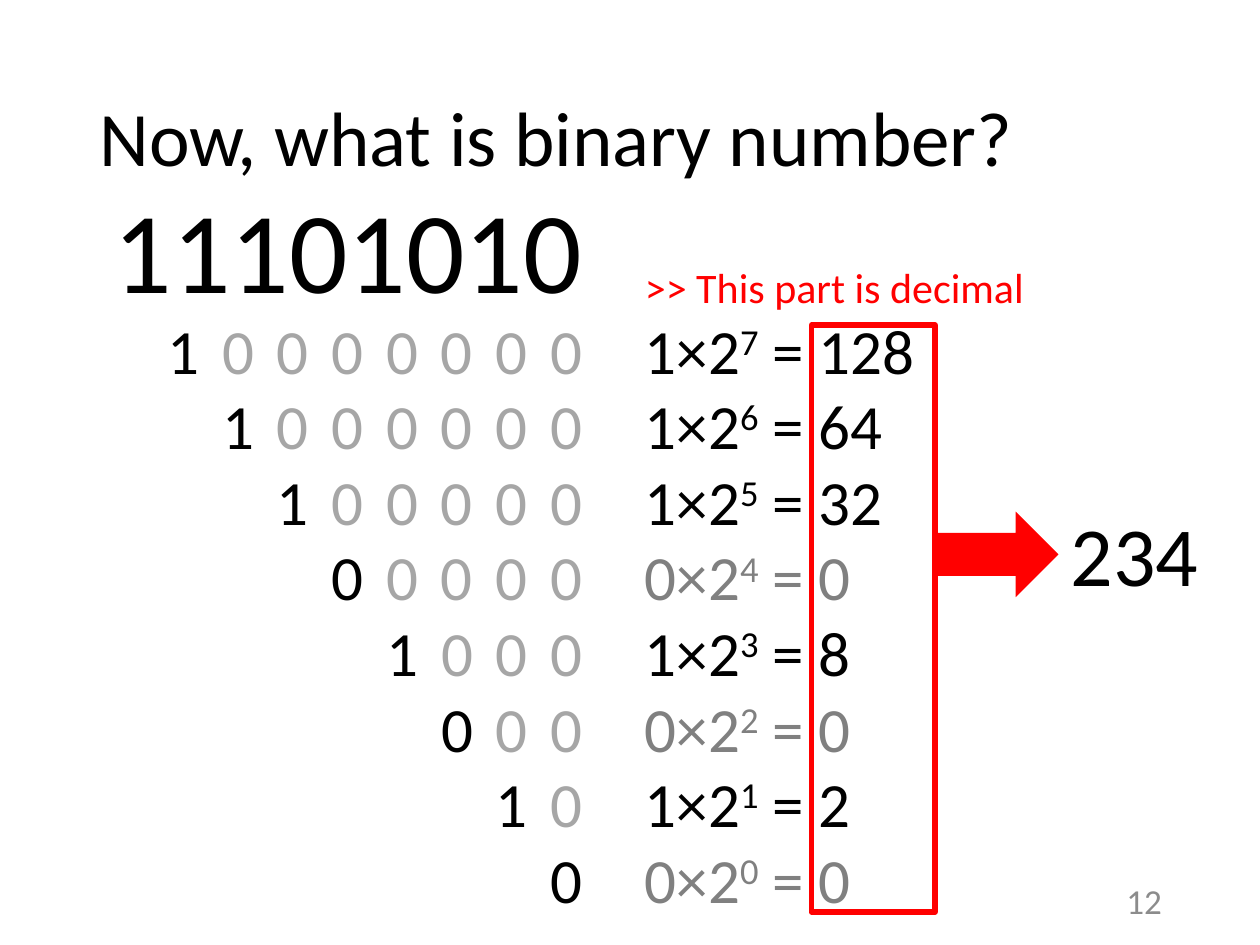
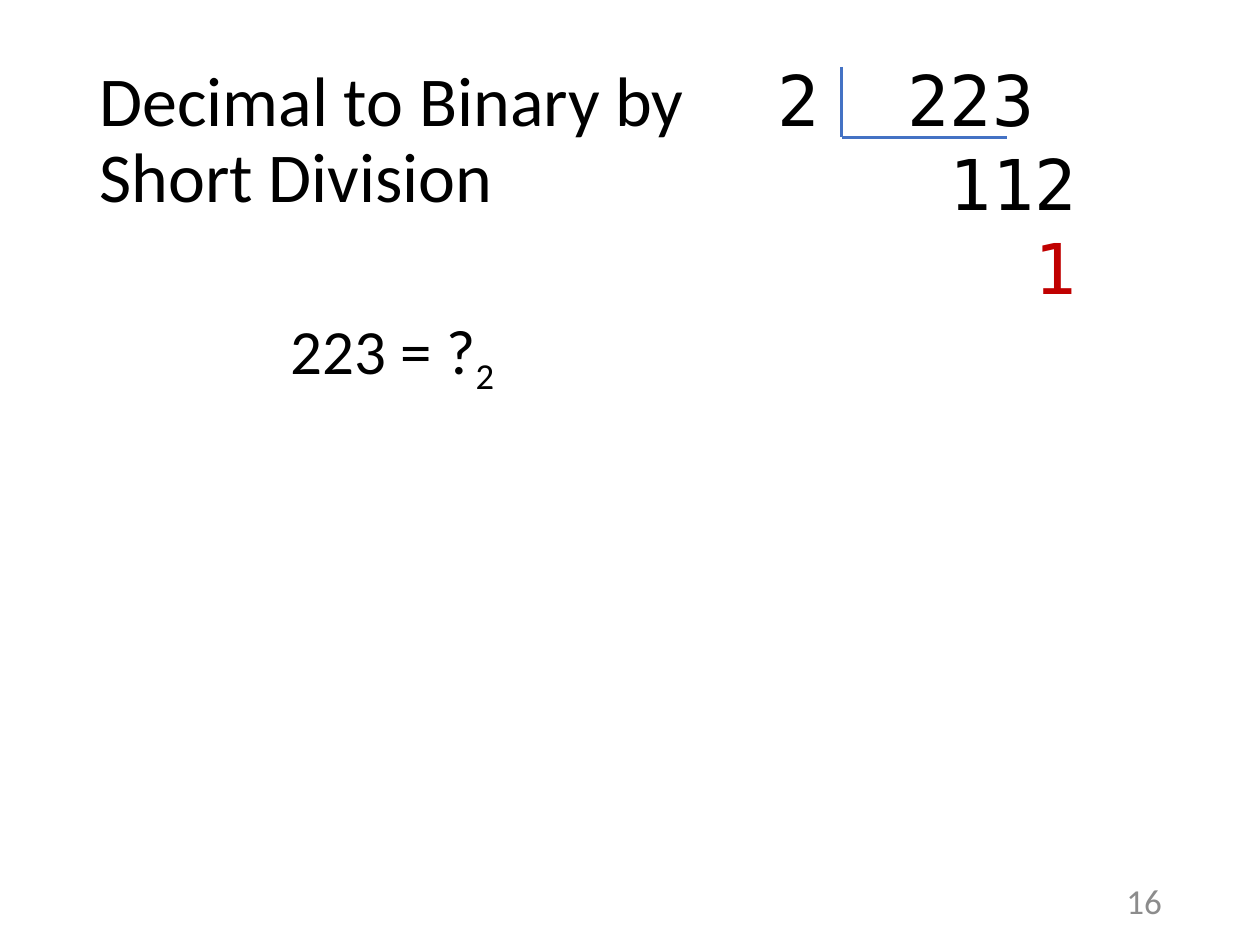
from dataclasses import dataclass

import pptx
import pptx.dml.color
import pptx.enum.shapes
import pptx.enum.text
import pptx.oxml.ns
import pptx.shapes.autoshape
import pptx.slide
import pptx.util
from lxml import etree

Inches = pptx.util.Inches
RGBColor = pptx.dml.color.RGBColor
Align = pptx.enum.text.PP_ALIGN
Anchor = pptx.enum.text.MSO_ANCHOR
Preset = pptx.enum.shapes.MSO_SHAPE

BLACK = RGBColor(0x00, 0x00, 0x00)
PALE_GRAY = RGBColor(0xA6, 0xA6, 0xA6)
MID_GRAY = RGBColor(0x80, 0x80, 0x80)
NUMBER_GRAY = RGBColor(0x8C, 0x8C, 0x8C)
RED = RGBColor(0xFF, 0x00, 0x00)
DARK_RED = RGBColor(0xC0, 0x00, 0x00)
BLUE = RGBColor(0x44, 0x72, 0xC4)

BODY_FONT = "Calibri"
MONO_FONT = "DejaVu Sans Mono"

BITS = "11101010"


@dataclass(frozen=True)
class Area:
    left: float
    top: float
    width: float
    height: float

    def lengths(self) -> tuple[int, ...]:
        return tuple(map(Inches, (self.left, self.top, self.width, self.height)))


@dataclass(frozen=True)
class Span:
    text: str
    color: RGBColor | None = None
    baseline: int = 0


@dataclass(frozen=True)
class Style:
    size: float
    color: RGBColor = BLACK
    font: str = BODY_FONT
    align: Align = Align.LEFT
    anchor: Anchor = Anchor.TOP
    line_spacing: float = 1.0
    letter_spacing: int = 0
    wrap: bool = True
    grow: bool = True


Line = list[Span]


def add_text(page: pptx.slide.Slide, area: Area, lines: list[Line], style: Style) -> None:
    frame = page.shapes.add_textbox(*area.lengths()).text_frame
    frame.word_wrap = style.wrap
    frame.vertical_anchor = style.anchor
    if style.grow:
        frame.auto_size = pptx.enum.text.MSO_AUTO_SIZE.SHAPE_TO_FIT_TEXT
    for index, line in enumerate(lines):
        para = frame.paragraphs[0] if index == 0 else frame.add_paragraph()
        para.alignment = style.align
        para.line_spacing = style.line_spacing
        para.font.name = style.font
        para.font.size = pptx.util.Pt(style.size)
        para.font.color.rgb = style.color
        for span in line:
            run = para.add_run()
            run.text = span.text
            if span.color is not None:
                run.font.color.rgb = span.color
            properties = run._r.get_or_add_rPr()
            if span.baseline:
                properties.set("baseline", str(span.baseline * 1000))
            if style.letter_spacing:
                properties.set("spc", str(style.letter_spacing * 100))


def add_title(page: pptx.slide.Slide, text: str, width: float, size: float) -> None:
    style = Style(size, anchor=Anchor.MIDDLE, line_spacing=0.9, grow=False)
    add_text(page, Area(0.69, 0.4, width, 1.45), [[Span(text)]], style)


def add_page_number(page: pptx.slide.Slide, number: int) -> None:
    style = Style(20, NUMBER_GRAY, align=Align.RIGHT, anchor=Anchor.MIDDLE, grow=False)
    add_text(page, Area(8.65, 6.95, 0.67, 0.4), [[Span(str(number))]], style)


def add_plain_shape(
    page: pptx.slide.Slide, preset: Preset, area: Area
) -> pptx.shapes.autoshape.Shape:
    shape = page.shapes.add_shape(preset, *area.lengths())
    shape.shadow.inherit = False
    shape.fill.background()
    shape.line.fill.background()
    return shape


def add_rule(page: pptx.slide.Slide, start: tuple[float, float], end: tuple[float, float]) -> None:
    rule = page.shapes.add_connector(
        pptx.enum.shapes.MSO_CONNECTOR.STRAIGHT, *map(Inches, start + end)
    )
    rule.line.color.rgb = BLUE
    rule.line.width = pptx.util.Pt(1.5)
    etree.SubElement(rule._element.spPr, pptx.oxml.ns.qn("a:effectLst"))


def build_binary_page(page: pptx.slide.Slide) -> None:
    place_lines: list[Line] = []
    power_lines: list[Line] = []
    for index, bit in enumerate(BITS):
        power = len(BITS) - 1 - index
        place_lines.append([Span(bit)] + ([Span("0" * power, PALE_GRAY)] if power else []))
        color = BLACK if bit == "1" else MID_GRAY
        power_lines.append([
            Span(f"{bit}×2", color),
            Span(str(power), color, baseline=30),
            Span(f" = {int(bit) * 2 ** power}", color),
        ])

    add_title(page, "Now, what is binary number?", 8.62, 44)
    add_text(page, Area(0.59, 1.36, 4.13, 1.21), [[Span(BITS)]], Style(66, align=Align.RIGHT))
    add_text(page, Area(0.59, 2.42, 4.13, 4.95), place_lines,
             Style(36, align=Align.RIGHT, letter_spacing=13))
    add_text(page, Area(5.02, 2.42, 4.49, 4.95), power_lines, Style(36))

    decimal_frame = add_plain_shape(page, Preset.RECTANGLE, Area(6.44, 2.58, 0.98, 4.66))
    decimal_frame.line.color.rgb = RED
    decimal_frame.line.width = pptx.util.Pt(3)
    add_text(page, Area(5.02, 2.03, 4.25, 0.5), [[Span(">> This part is decimal")]],
             Style(24, RED))

    sum_arrow = add_plain_shape(page, Preset.RIGHT_ARROW, Area(7.42, 4.06, 0.98, 0.68))
    sum_arrow.fill.solid()
    sum_arrow.fill.fore_color.rgb = RED
    add_text(page, Area(8.4, 3.94, 1.23, 0.91), [[Span(str(int(BITS, 2)))]],
             Style(48, wrap=False))
    add_page_number(page, 12)


def build_division_page(page: pptx.slide.Slide) -> None:
    add_title(page, "Decimal to Binary by Short Division", 4.91, 40)
    add_text(page, Area(2.21, 2.42, 1.85, 0.71),
             [[Span("223 = ?"), Span("2", baseline=-25)]], Style(36, wrap=False))
    add_text(page, Area(6.9, 0.4, 1.74, 2.12),
             [[Span("223 ")], [Span("112 "), Span("1", DARK_RED)]],
             Style(40, font=MONO_FONT, align=Align.RIGHT))
    corner = (6.68, 1.09)
    add_rule(page, (6.68, 0.53), corner)
    add_rule(page, corner, (7.99, 1.09))
    add_text(page, Area(6.07, 0.4, 0.51, 0.77), [[Span("2")]],
             Style(40, font=MONO_FONT, wrap=False))
    add_page_number(page, 16)


def main() -> None:
    deck = pptx.Presentation()
    deck.slide_width = Inches(10)
    deck.slide_height = Inches(7.5)
    for build_page in (build_binary_page, build_division_page):
        build_page(deck.slides.add_slide(deck.slide_layouts[6]))
    deck.save("out.pptx")


if __name__ == "__main__":
    main()
